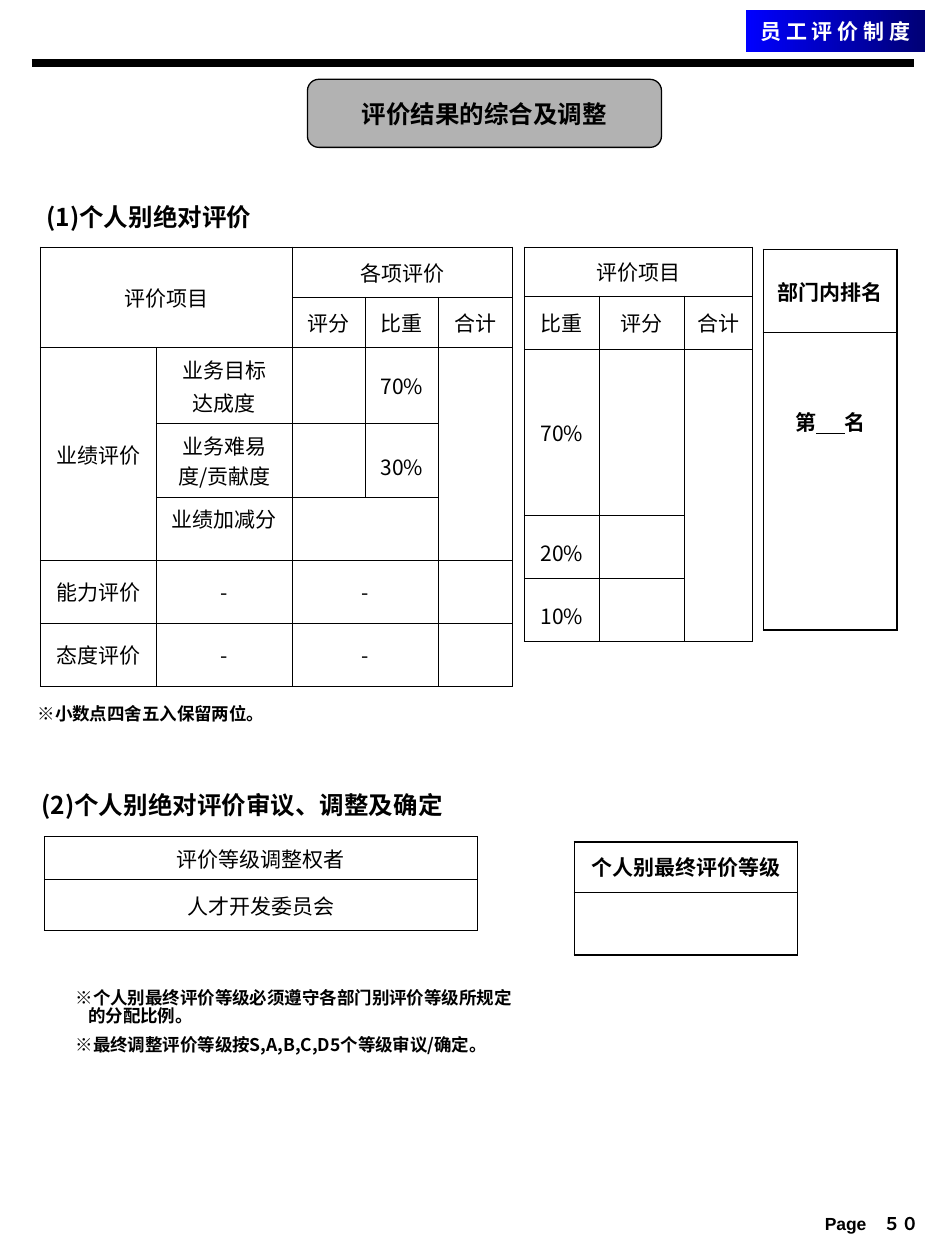
from lxml.etree import SubElement
from pptx import Presentation
from pptx.dml.color import RGBColor
from pptx.enum.shapes import MSO_CONNECTOR as Connector, MSO_SHAPE as Shape
from pptx.enum.text import MSO_ANCHOR as Anchor, MSO_AUTO_SIZE as AutoSize, PP_ALIGN as Align
from pptx.oxml.ns import qn
from pptx.util import Inches, Pt

KR, SC, ARIAL = "Noto Sans CJK KR", "Noto Sans CJK SC", "Arial"
BLACK, WHITE, GREY = "000000", "FFFFFF", "B2B2B2"
THIN, THICK = 0.45, 1.08

BANNER = "员 工 评 价 制 度"
TITLE = "评价结果的综合及调整"
TITLE_PLACE = (2.44, 0.63, 2.81, 0.54)
LABELS = [
    ("(1)个人别绝对评价", (0.27, 1.58, 2.23, 0.34), 14, KR, Align.LEFT, 0.9),
    ("※小数点四舍五入保留两位。", (0.2, 5.56, 3.95, 0.27), 10, KR, Align.LEFT, 0.85),
    ("(2)个人别绝对评价审议、调整及确定", (0.23, 6.25, 3.52, 0.34), 14, KR, Align.LEFT, 0.9),
    ("Page　５０", (5.83, 9.58, 1.56, 0.25), 10, ARIAL, Align.RIGHT, 1),
]
NOTES = ["※个人别最终评价等级必须遵守各部门别评价等级所规定的分配比例。",
         "※最终调整评价等级按S,A,B,C,D5个等级审议/确定。"]
RANK = [("第", False), (" " * 6, True), ("名", False)]

# Cells: row, column, row span, column span, paragraphs, line spacing when set from the top
TABLES = [
    ((0.32, 1.96), [0.92, 1.08, 0.58, 0.58, 0.59], [0.4, 0.4, 0.52, 0.51, 0.5, 0.5, 0.5], THIN, False, [
        (0, 0, 2, 2, ["评价项目"], None), (0, 2, 1, 3, ["各项评价"], None),
        (1, 2, 1, 1, ["评分"], None), (1, 3, 1, 1, ["比重"], None), (1, 4, 1, 1, ["合计"], None),
        (2, 0, 3, 1, ["业绩评价"], None), (2, 1, 1, 1, ["业务目标", "达成度"], 1),
        (2, 3, 1, 1, ["70%"], None), (2, 4, 3, 1, [], None),
        (3, 1, 1, 1, ["业务难易度/贡献度"], 1), (3, 3, 1, 1, ["30%"], 1.7),
        (4, 1, 1, 1, ["业绩加减分"], 1), (4, 2, 1, 2, [], None),
        (5, 0, 1, 1, ["能力评价"], None), (5, 1, 1, 1, ["-"], None), (5, 2, 1, 2, ["-"], None),
        (6, 0, 1, 1, ["态度评价"], None), (6, 1, 1, 1, ["-"], None), (6, 2, 1, 2, ["-"], None)]),
    ((4.16, 1.96), [0.6, 0.67, 0.54], [0.39, 0.42, 1.32, 0.5, 0.5], THIN, False, [
        (0, 0, 1, 3, ["评价项目"], None),
        (1, 0, 1, 1, ["比重"], None), (1, 1, 1, 1, ["评分"], None), (1, 2, 1, 1, ["合计"], None),
        (2, 0, 1, 1, ["70%"], None), (2, 2, 3, 1, [], None),
        (3, 0, 1, 1, ["20%"], 1.5), (4, 0, 1, 1, ["10%"], 1.5)]),
    ((6.06, 1.98), [1.06], [0.66, 2.36], THICK, True, [
        (0, 0, 1, 1, ["部门内排名"], None), (1, 0, 1, 1, [RANK], 1)]),
    ((0.35, 6.64), [3.44], [0.33, 0.4], THIN, False, [
        (0, 0, 1, 1, ["评价等级调整权者"], None), (1, 0, 1, 1, ["人才开发委员会"], None)]),
    ((4.56, 6.68), [1.77], [0.4, 0.5], THICK, True, [
        (0, 0, 1, 1, ["个人别最终评价等级"], None)]),
]


def color(value):
    return RGBColor.from_string(value)


def inches(values):
    return [Inches(value) for value in values]


def add_span(para, text, size, font, bold=True, tint=BLACK, underline=None):
    span = para.add_run()
    span.text = text
    span.font.size, span.font.bold, span.font.name = Pt(size), bold, font
    span.font.underline = underline
    span.font.color.rgb = color(tint)
    east = SubElement(span.font._element, qn("a:ea"))
    east.set("typeface", SC if font == ARIAL else font)


def move(box, place):
    box.left, box.top, box.width, box.height = inches(place)


def draw_borders(cell, widths):
    """Draw the left, right, top and bottom borders of a cell."""
    props = cell._tc.get_or_add_tcPr()
    for index, (side, width) in enumerate(zip(("lnL", "lnR", "lnT", "lnB"), widths)):
        line = props.makeelement(qn(f"a:{side}"), {"w": str(Pt(width))})
        SubElement(SubElement(line, qn("a:solidFill")), qn("a:srgbClr")).set("val", BLACK)
        props.insert(index, line)


def fill_cell(cell, paras, spacing, bold):
    cell.vertical_anchor = Anchor.MIDDLE if spacing is None else Anchor.TOP
    frame = cell.text_frame
    for index, content in enumerate(paras):
        para = frame.add_paragraph() if index else frame.paragraphs[0]
        para.alignment = Align.CENTER
        para.line_spacing = 0.9 if index else spacing
        para.space_before = Pt(3 if index else 0)
        spans = [(content, None)] if isinstance(content, str) else content
        for text, underline in spans:
            add_span(para, text, 12, KR, bold, underline=underline)
        if content is RANK:
            cell.margin_top = Inches(0.58)


def add_grid(page, corner, cols, rows, outer, bold, cells):
    place = inches((*corner, sum(cols), sum(rows)))
    table = page.shapes.add_table(len(rows), len(cols), *place).table
    table.first_row = table.horz_banding = False
    for column, width in zip(table.columns, cols):
        column.width = Inches(width)
    for row, height in zip(table.rows, rows):
        row.height = Inches(height)
    for r in range(len(rows)):
        for c in range(len(cols)):
            cell = table.cell(r, c)
            cell.fill.background()
            cell.margin_left = cell.margin_right = Inches(0.1)
            cell.margin_top = cell.margin_bottom = Inches(0.05)
            cell.text_frame.paragraphs[0].font.size = Pt(12)
            edges = (c == 0, c == len(cols) - 1, r == 0, r == len(rows) - 1)
            draw_borders(cell, [outer if edge else THIN for edge in edges])
    for r, c, down, across, paras, spacing in cells:
        cell = table.cell(r, c)
        if down * across > 1:
            cell.merge(table.cell(r + down - 1, c + across - 1))
        fill_cell(cell, paras, spacing, bold)


def add_header(page):
    rule = page.shapes.add_connector(Connector.STRAIGHT, *inches((0.25, 0.5, 7.25, 0.5)))
    rule.line.color.rgb, rule.line.width = color(BLACK), Pt(4.5)
    SubElement(rule._element.spPr, qn("a:effectLst"))

    banner = page.shapes.add_shape(Shape.RECTANGLE, *inches((5.92, 0.08, 1.42, 0.33)))
    banner.shadow.inherit = False
    banner.line.fill.background()
    banner.fill.gradient()
    banner.fill.gradient_angle = 180
    for stop, tint, position in zip(banner.fill.gradient_stops, ("000075", "0000FF"), (0, 1)):
        stop.color.rgb, stop.position = color(tint), position
    banner.text_frame.word_wrap = False
    para = banner.text_frame.paragraphs[0]
    para.alignment = Align.CENTER
    add_span(para, BANNER, 12, SC, tint=WHITE)


def add_title(page):
    title = page.shapes.title
    plate = page.shapes.add_shape(Shape.ROUNDED_RECTANGLE, *inches(TITLE_PLACE))
    plate.shadow.inherit = False
    plate.fill.solid()
    plate.fill.fore_color.rgb = color(GREY)
    plate.line.color.rgb, plate.line.width = color(BLACK), Pt(0.75)
    title._element.addprevious(plate._element)
    move(title, TITLE_PLACE)
    title.text_frame.auto_size = AutoSize.NONE
    title.text_frame.vertical_anchor = Anchor.MIDDLE
    add_span(title.text_frame.paragraphs[0], TITLE, 14, ARIAL)


def add_label(page, text, place, size, font, align, spacing):
    frame = page.shapes.add_textbox(*inches(place)).text_frame
    frame.word_wrap = True
    para = frame.paragraphs[0]
    para.alignment, para.line_spacing = align, spacing
    add_span(para, text, size, font)


def add_notes(body):
    move(body, (0.5, 7.81, 3.73, 0.94))
    frame = body.text_frame
    frame.auto_size = AutoSize.NONE
    for index, text in enumerate(NOTES):
        para = frame.add_paragraph() if index else frame.paragraphs[0]
        props = para._p.get_or_add_pPr()
        props.set("marL", str(Inches(0.1)))
        props.set("indent", str(-Inches(0.1)))
        SubElement(props, qn("a:buNone"))
        para.line_spacing, para.space_before = 0.85, Pt(6.2 if index else 0)
        add_span(para, text, 10, KR)


def main():
    deck = Presentation()
    deck.slide_width, deck.slide_height = Inches(7.5), Inches(10)
    page = deck.slides.add_slide(deck.slide_layouts[1])
    add_header(page)
    add_title(page)
    for table in TABLES:
        add_grid(page, *table)
    for label in LABELS:
        add_label(page, *label)
    add_notes(page.placeholders[1])
    deck.save("out.pptx")


if __name__ == "__main__":
    main()
